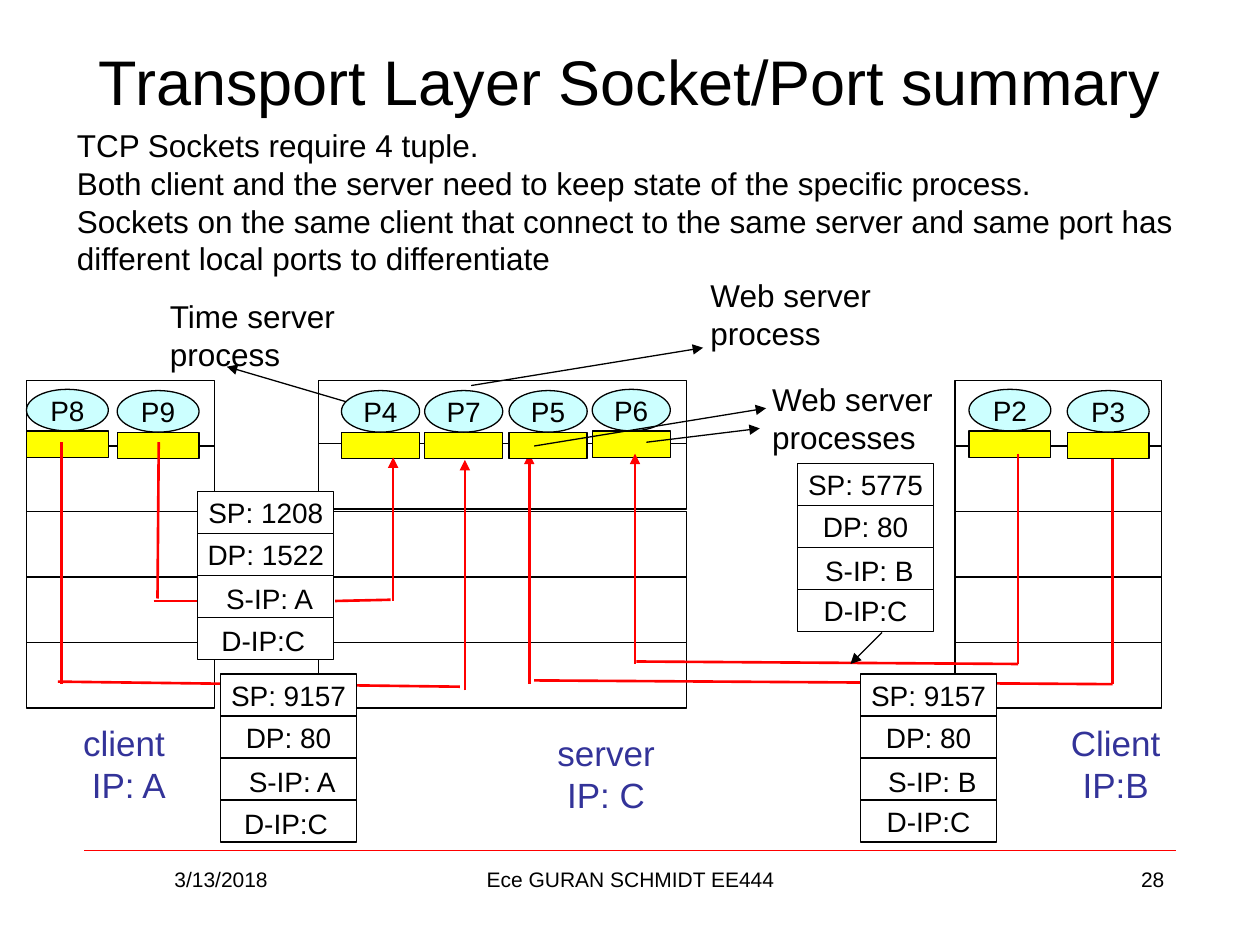
"""Build the slide that sums up transport layer sockets and ports."""
from dataclasses import dataclass

from lxml.etree import SubElement
from pptx import Presentation
from pptx.dml.color import RGBColor
from pptx.enum.shapes import MSO_CONNECTOR as Connector, MSO_SHAPE as Shape
from pptx.enum.text import MSO_ANCHOR as Anchor, MSO_AUTO_SIZE as AutoSize, PP_ALIGN as Align
from pptx.oxml.ns import qn
from pptx.util import Inches, Pt


@dataclass(frozen=True)
class Theme:
    font: str = "Arial"
    black: RGBColor = RGBColor(0, 0, 0)
    white: RGBColor = RGBColor(255, 255, 255)
    red: RGBColor = RGBColor(255, 0, 0)
    yellow: RGBColor = RGBColor(255, 255, 0)
    cyan: RGBColor = RGBColor(204, 255, 255)
    indigo: RGBColor = RGBColor(51, 51, 153)
    title: int = 36
    host: int = 20
    body: int = 18
    box: int = 16
    footer: int = 12
    outline: float = 0.75
    route: float = 1.5
    rule: float = 0.25


theme = Theme()
presentation = Presentation()
presentation.slide_width, presentation.slide_height = Inches(10), Inches(7.5)
slide = presentation.slides.add_slide(presentation.slide_layouts[1])


def add_text(shape, text, size, color=theme.black, align=Align.CENTER, anchor=Anchor.TOP, wrap=False):
    frame = shape.text_frame
    frame.text = text
    frame.word_wrap = wrap
    frame.auto_size = AutoSize.NONE
    frame.vertical_anchor = anchor
    for paragraph in frame.paragraphs:
        paragraph.alignment = align
        for run in paragraph.runs:
            run.font.name, run.font.size = theme.font, Pt(size)
            run.font.color.rgb = color


def add_box(kind, bounds, fill, text=""):
    shape = slide.shapes.add_shape(kind, *map(Inches, bounds))
    shape.shadow.inherit = False
    shape.fill.solid()
    shape.fill.fore_color.rgb = fill
    shape.line.color.rgb = theme.black
    shape.line.width = Pt(theme.outline)
    if text:
        add_text(shape, text, theme.box, anchor=Anchor.MIDDLE)


title = slide.shapes.title
title.left, title.top, title.width, title.height = map(Inches, (0.5, 0.3, 9, 0.68))
add_text(title, "Transport Layer Socket/Port summary", theme.title, anchor=Anchor.MIDDLE, wrap=True)

body = slide.placeholders[1]
body.left, body.top, body.width, body.height = map(Inches, (0.51, 0.95, 9.49, 1.62))
statements = (
    "TCP Sockets require 4 tuple.",
    "Both client and the server need to keep state of the specific process.",
    "Sockets on the same client that connect to the same server and same port has "
    "different local ports to differentiate",
)
add_text(body, "\n".join(statements), theme.body, align=Align.LEFT, wrap=True)
for paragraph in body.text_frame.paragraphs:
    paragraph.space_before = Pt(0)
    properties = paragraph._p.get_or_add_pPr()
    properties.set("marL", "0")
    properties.set("indent", "0")
    SubElement(properties, qn("a:buNone"))

layer_height = 0.52
for left, width, second_top in ((0.21, 1.49, 3.54), (7.58, 1.64, 3.54), (2.53, 2.92, 3.52)):
    for top in (3.02, second_top, 4.06, 4.58, 5.1):
        add_box(Shape.RECTANGLE, (left, top, width, layer_height), theme.white)

processes = (
    ("P8", 0.21, 3.09, 0.65), ("P9", 0.93, 3.1, 0.65),
    ("P4", 2.71, 3.1, 0.62), ("P7", 3.37, 3.1, 0.62),
    ("P5", 4.04, 3.1, 0.62), ("P6", 4.7, 3.09, 0.62),
    ("P2", 7.69, 3.09, 0.65), ("P3", 8.47, 3.1, 0.65),
)
lines_behind = (
    (8.83, 3.52, 8.83, 5.43, theme.red, theme.route, False),
    (4.2, 5.43, 4.2, 3.6, theme.red, theme.route, True),
    (2.82, 3.21, 1.8, 2.91, theme.black, theme.outline, True),
)
lines_in_front = (
    (0.67, 6.75, 9.33, 6.75, theme.red, theme.rule, False),
    (0.49, 3.51, 0.49, 5.43, theme.red, theme.route, False),
    (0.46, 5.41, 3.65, 5.45, theme.red, theme.route, False),
    (3.69, 5.48, 3.69, 3.65, theme.red, theme.route, True),
    (4.24, 5.4, 8.83, 5.43, theme.red, theme.route, False),
    (8.08, 3.6, 8.08, 5.27, theme.red, theme.route, False),
    (5.05, 5.25, 8.08, 5.27, theme.red, theme.route, False),
    (5.04, 5.27, 5.04, 3.6, theme.red, theme.route, True),
    (1.26, 3.51, 1.25, 4.75, theme.red, theme.route, False),
    (1.22, 4.77, 1.59, 4.77, theme.red, theme.route, False),
    (2.66, 4.77, 3.1, 4.76, theme.red, theme.route, False),
    (3.12, 4.77, 3.12, 3.63, theme.red, theme.route, True),
    (7, 5.02, 6.75, 5.27, theme.black, theme.outline, True),
    (4.24, 3.54, 6.08, 3.24, theme.black, theme.outline, True),
    (5.13, 3.51, 6.03, 3.4, theme.black, theme.outline, True),
    (3.74, 3.06, 5.58, 2.76, theme.black, theme.outline, True),
)
for layer in (lines_behind, processes, lines_in_front):
    if layer is processes:
        for name, left, top, width in processes:
            add_box(Shape.RECTANGLE, (left, top + 0.33, width, 0.21), theme.yellow)
            add_box(Shape.OVAL, (left, top, width, 0.33), theme.cyan, name)
        continue
    for *ends, color, weight, arrow in layer:
        connector = slide.shapes.add_connector(Connector.STRAIGHT, *map(Inches, ends))
        connector.line.color.rgb = color
        connector.line.width = Pt(weight)
        properties = connector.element.spPr
        if arrow:
            SubElement(properties.find(qn("a:ln")), qn("a:tailEnd"), type="triangle")
        SubElement(properties, qn("a:effectLst"))

labels = [
    ("client\n IP: A", (0.55, 5.68, 0.87, 0.77), theme.host, theme.indigo, Align.CENTER, False),
    ("server\nIP: C", (4.32, 5.76, 0.98, 0.77), theme.host, theme.indigo, Align.CENTER, False),
    ("Client\nIP:B", (8.38, 5.68, 0.95, 0.77), theme.host, theme.indigo, Align.CENTER, False),
    ("Time server process", (1.25, 2.31, 2.44, 0.71), theme.body, theme.black, Align.LEFT, True),
    ("Web server process", (5.54, 2.14, 1.59, 0.7), theme.body, theme.black, Align.LEFT, True),
    ("Web server processes", (6.03, 2.97, 1.59, 0.7), theme.body, theme.black, Align.LEFT, True),
    ("3/13/2018", (0.67, 6.83, 2.17, 0.52), theme.footer, theme.black, Align.CENTER, True),
    ("Ece GURAN SCHMIDT EE444", (3.42, 6.83, 3.17, 0.52), theme.footer, theme.black, Align.CENTER, True),
    ("28", (7.17, 6.83, 2.17, 0.52), theme.footer, theme.black, Align.RIGHT, True),
]

field_height = 1 / 3
packets = (
    (1.57, 3.9, "SP: 1208", "DP: 1522", "S-IP: A"),
    (1.75, 5.35, "SP: 9157", "DP: 80", "S-IP: A"),
    (6.33, 3.68, "SP: 5775", "DP: 80", "S-IP: B"),
    (6.83, 5.35, "SP: 9157", "DP: 80", "S-IP: B"),
)
for left, top, source_port, target_port, source in packets:
    from_client_a = source == "S-IP: A"
    target = "" if from_client_a else "D-IP:C"
    for row, text in enumerate((source_port, target_port, "", target)):
        add_box(Shape.RECTANGLE, (left, top + row * field_height, 1.08, field_height), theme.white, text)
    field_labels = [(source, 2, 0.12)] + ([("D-IP:C", 3, 0.07)] if from_client_a else [])
    for text, row, inset in field_labels:
        bounds = (left + inset, top + row * field_height, 0.9, 0.37)
        labels.append((text, bounds, theme.box, theme.black, Align.CENTER, False))

for text, bounds, size, color, align, wrap in labels:
    add_text(slide.shapes.add_textbox(*map(Inches, bounds)), text, size, color, align, wrap=wrap)

presentation.save("out.pptx")
